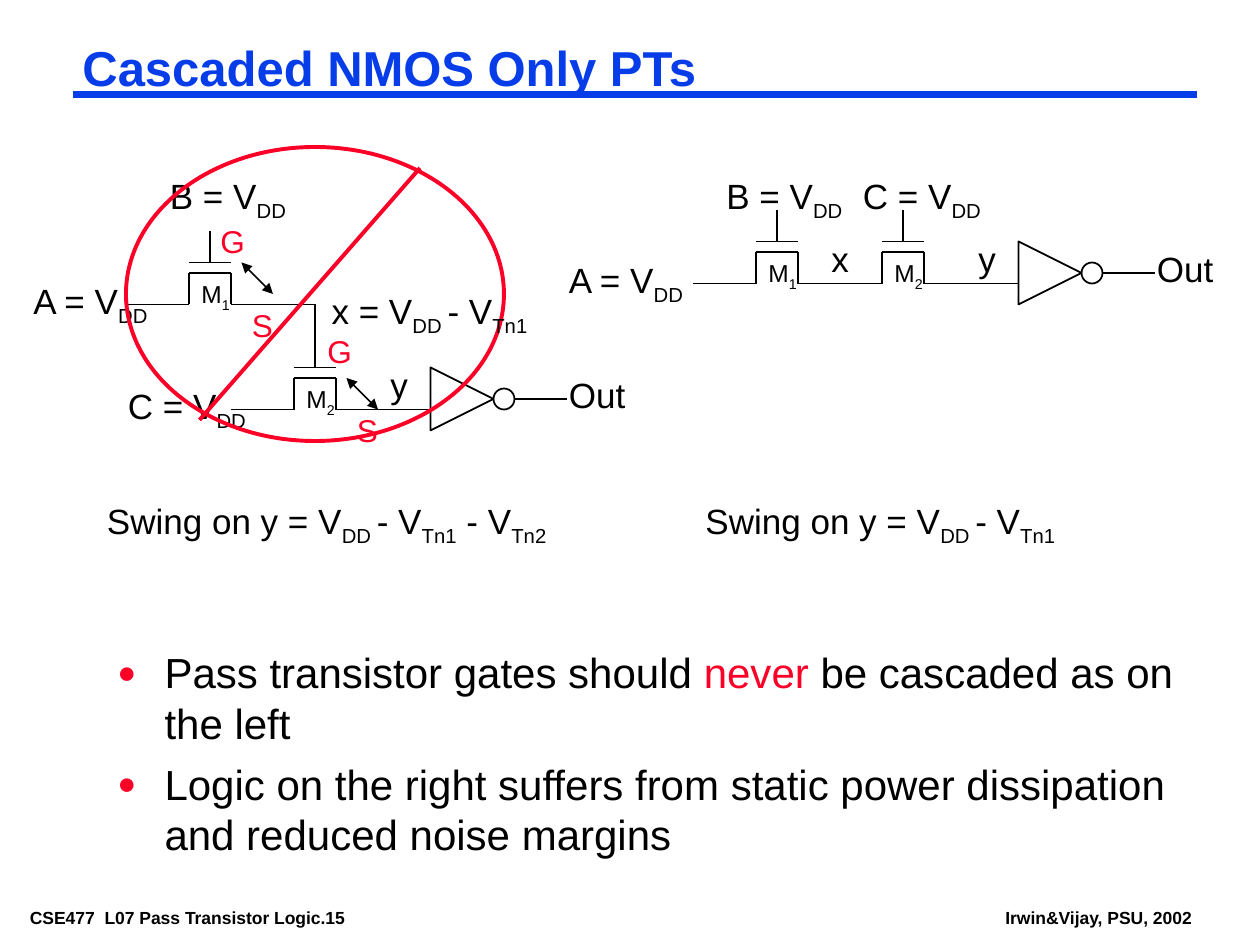
from lxml.etree import SubElement as Sub
from pptx import Presentation
from pptx.dml.color import RGBColor
from pptx.enum.shapes import MSO_CONNECTOR as Link, MSO_SHAPE as Form
from pptx.enum.text import MSO_ANCHOR as Anchor, PP_ALIGN as Align
from pptx.oxml.ns import qn
from pptx.util import Cm, Pt

BLACK = RGBColor(0, 0, 0)
BLUE = RGBColor(0x06, 0x3D, 0xE8)
RED = RGBColor(0xFC, 0x01, 0x28)
GRID = 2.54 / 12


def unit(num):
    return Cm(num * GRID)


class Board:
    font = "Arial"
    thin = 1

    def __init__(self, deck):
        self.slide = deck.slides.add_slide(deck.slide_layouts[5])
        self.shapes = self.slide.shapes

    def style(self, run, size, color=BLACK, bold=False):
        run.font.name = self.font
        run.font.size = Pt(size)
        run.font.bold = bold
        run.font.color.rgb = color

    def inset(self, frame, side, top):
        frame.word_wrap = True
        frame.vertical_anchor = Anchor.TOP
        frame.margin_left = frame.margin_right = Cm(side)
        frame.margin_top = frame.margin_bottom = Cm(top)

    def title(self, text):
        box = self.shapes.title
        box.left, box.top, box.width, box.height = unit(7), unit(4), unit(107), unit(5.5)
        self.inset(box.text_frame, 0.18, 0.08)
        box.text_frame.text = text
        para = box.text_frame.paragraphs[0]
        para.alignment = Align.LEFT
        para.line_spacing = 0.87
        self.style(para.runs[0], 28, BLUE, True)

    def text(self, text, x, y, wide, size=20, color=BLACK, bold=False, side=0.25, top=0.13):
        box = self.shapes.add_textbox(unit(x), unit(y), unit(wide), unit(size / 4))
        self.inset(box.text_frame, side, top)
        para = box.text_frame.paragraphs[0]
        for spot, part in enumerate(text.split("_")):
            if part:
                run = para.add_run()
                run.text = part
                self.style(run, size, color, bold)
                if spot % 2:
                    run._r.get_or_add_rPr().set("baseline", "-25000")

    def line(self, x1, y1, x2, y2, color=BLACK, width=thin, arrow=False):
        wire = self.shapes.add_connector(Link.STRAIGHT, unit(x1), unit(y1), unit(x2), unit(y2))
        wire.line.color.rgb = color
        wire.line.width = Pt(width)
        if arrow:
            for end in ("a:headEnd", "a:tailEnd"):
                Sub(wire.line._get_or_add_ln(), qn(end), type="triangle")
        Sub(wire._element.spPr, qn("a:effectLst"))

    def shape(self, form, x, y, wide, high, color=BLACK, width=thin):
        item = self.shapes.add_shape(form, unit(x), unit(y), unit(wide), unit(high))
        item.shadow.inherit = False
        item.fill.background()
        item.line.color.rgb = color
        item.line.width = Pt(width)
        return item

    def gate(self, name, x, y, out):
        parts = [(0, 0, 0, 3), (0, 0, 4, 0), (4, 0, 4, 3), (0, -1, 4, -1),
                 (2, -4, 2, -1), (-6, 3, 0, 3), (4, 3, out, 3)]
        for x1, y1, x2, y2 in parts:
            self.line(x + x1, y + y1, x + x2, y + y2)
        self.text(name, x, y, 8, 14)

    def buffer(self, x, y):
        self.shape(Form.ISOSCELES_TRIANGLE, x, y, 6, 6).rotation = 90
        self.shape(Form.OVAL, x + 6, y + 2, 2, 2)
        self.line(x + 8, y + 3, x + 13, y + 3)
        self.text("y", x - 5, y - 1, 6)
        self.text("Out", x + 12, y, 8)

    def bullets(self, items, x, y, wide, high):
        box = self.shapes.add_textbox(unit(x), unit(y), unit(wide), unit(high))
        frame = box.text_frame
        self.inset(frame, 0.25, 0.13)
        for spot, parts in enumerate(items):
            para = frame.add_paragraph() if spot else frame.paragraphs[0]
            para.space_before = Pt(6)
            for part, color in parts:
                run = para.add_run()
                run.text = part
                self.style(run, 24, color)
            props = para._p.get_or_add_pPr()
            props.set("marL", str(Cm(0.95)))
            props.set("indent", str(Cm(-0.95)))
            Sub(Sub(props, qn("a:buClr")), qn("a:srgbClr"), val=str(RED))
            Sub(props, qn("a:buSzPct"), val="75000")
            Sub(props, qn("a:buFont"), typeface=self.font)
            Sub(props, qn("a:buChar"), char="●")


deck = Presentation()
deck.slide_width, deck.slide_height = Cm(25.4), Cm(19.05)
board = Board(deck)

board.line(7, 9, 114, 9, BLUE, 4.5)
board.title("Cascaded NMOS Only PTs")

for name, x, y, out in [("M_1", 18, 26, 12), ("M_2", 28, 36, 13),
                        ("M_1", 72, 24, 12), ("M_2", 84, 24, 13)]:
    board.gate(name, x, y, out)
for x, y in [(41, 35), (97, 23)]:
    board.buffer(x, y)
board.line(30, 29, 30, 32)

for name, x, y in [("A", 2, 26), ("B", 15, 16), ("C", 11, 36),
                   ("A", 53, 24), ("B", 68, 16), ("C", 81, 16)]:
    board.text(name + " = V_DD", x, y, 17)
board.text("x", 78, 22, 6)
board.text("Swing on y = V_DD _- V_Tn1_ - V_Tn2", 9, 47, 46)
board.text("Swing on y = V_DD _- V_Tn1", 66, 47, 46)

board.shape(Form.OVAL, 12, 14, 36, 28, RED, 2.25)
board.line(40, 16, 19, 40, RED, 2.25)
board.text("x = V_DD _- V_Tn1", 30.4, 27, 23)
for name, x, y in [("G", 19.8, 20.5), ("S", 22.8, 28.5),
                   ("G", 30, 31), ("S", 32.8, 38.5)]:
    board.text(name, x, y, 5, 18, RED)
for x, y in [(23, 25), (33, 36)]:
    board.line(x, y, x + 3, y + 3, arrow=True)

board.bullets([
    [("Pass transistor gates should ", BLACK), ("never", RED),
     (" be cascaded as on the left", BLACK)],
    [("Logic on the right suffers from static power dissipation "
      "and reduced noise margins", BLACK)],
], 10, 61, 104, 23)

for note, x, wide in [("CSE477  L07 Pass Transistor Logic.15", 2, 38),
                      ("Irwin&Vijay, PSU, 2002", 94.9, 21)]:
    board.text(note, x, 86, wide, 10, bold=True, side=0.18, top=0.08)

deck.save("out.pptx")
